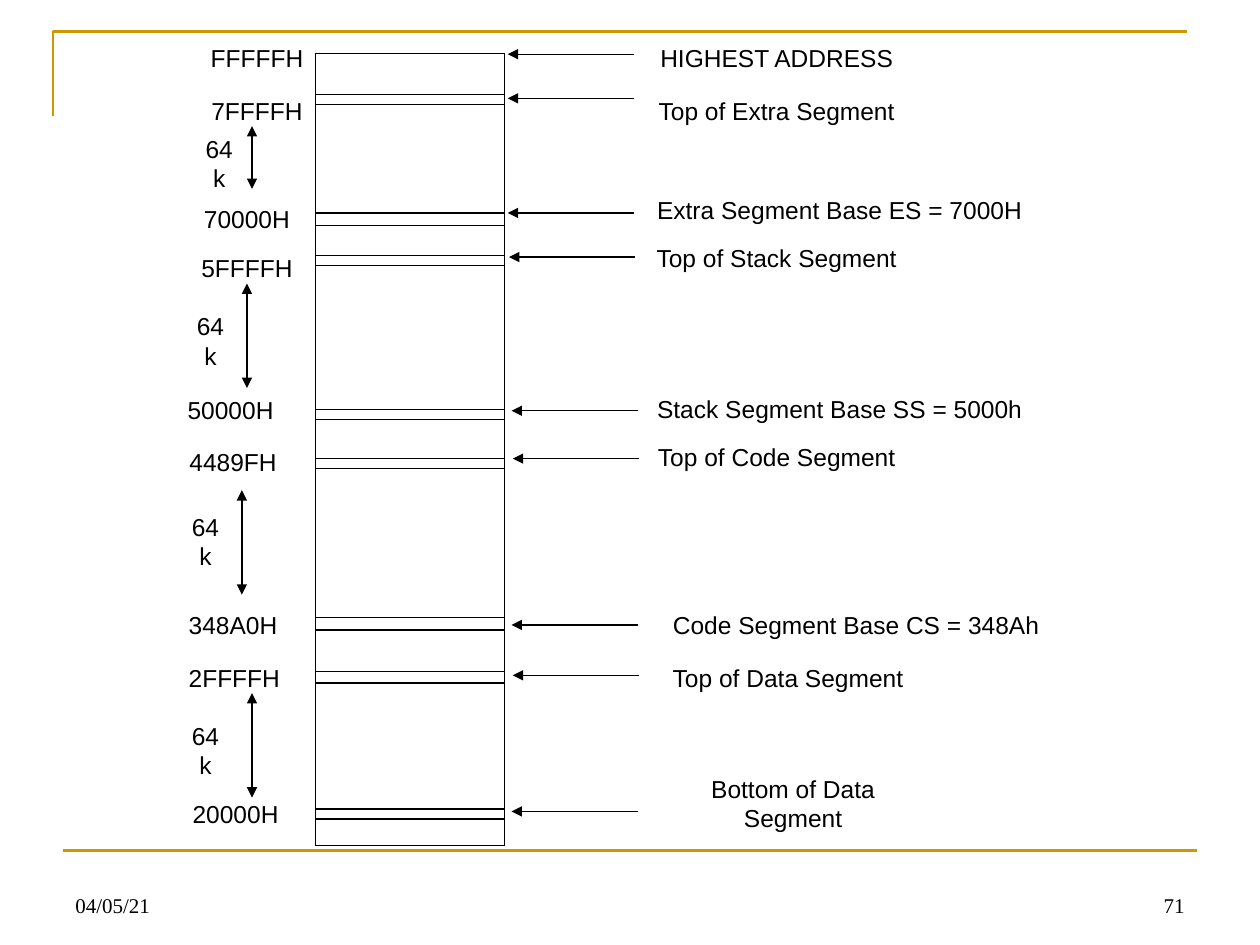
"""Build a slide showing the memory map of the processor segments."""
from dataclasses import dataclass

from lxml import etree
from pptx import Presentation
from pptx.dml.color import RGBColor
from pptx.enum import shapes, text
from pptx.oxml import ns
from pptx.util import Inches, Pt


@dataclass(frozen=True)
class Theme:
    ink: RGBColor = RGBColor(0, 0, 0)
    gold: RGBColor = RGBColor(0xCC, 0x99, 0x00)
    sans: str = "Arial"
    serif: str = "Times New Roman"
    label: Pt = Pt(14)
    footer: Pt = Pt(12)
    thin: Pt = Pt(0.75)
    rule: Pt = Pt(1.5)


T = Theme()
LABEL = {"name": T.sans, "size": T.label}
FOOTER = {"name": T.serif, "size": T.footer}
CENTER, LEFT, RIGHT = text.PP_ALIGN.CENTER, text.PP_ALIGN.LEFT, text.PP_ALIGN.RIGHT
MIDDLE, BOTTOM = text.MSO_ANCHOR.MIDDLE, text.MSO_ANCHOR.BOTTOM

prs = Presentation()
prs.slide_width, prs.slide_height = Inches(10), Inches(7.5)
s = prs.slides.add_slide(prs.slide_layouts[6])


def add_line(x1, y1, x2, y2, color=T.ink, width=T.thin, ends=()):
    c = s.shapes.add_connector(shapes.MSO_CONNECTOR.STRAIGHT,
                               Inches(x1), Inches(y1), Inches(x2), Inches(y2))
    c.line.color.rgb = color
    c.line.width = width
    for end in ends:
        etree.SubElement(c.line._get_or_add_ln(), ns.qn(f"a:{end}"), type="triangle")
    etree.SubElement(c._element.spPr, ns.qn("a:effectLst"))


def add_text(words, x, y, w, h, font=LABEL, align=CENTER, anchor=MIDDLE, wrap=False):
    tf = s.shapes.add_textbox(Inches(x), Inches(y), Inches(w), Inches(h)).text_frame
    tf.word_wrap = wrap
    tf.vertical_anchor = anchor
    p = tf.paragraphs[0]
    p.alignment = align
    r = p.add_run()
    r.text = words
    for key, value in font.items():
        setattr(r.font, key, value)
    r.font.color.rgb = T.ink


fb = s.shapes.build_freeform(Inches(0.42), Inches(0.92))
fb.add_line_segments([(Inches(0.42), Inches(0.25)), (Inches(9.42), Inches(0.25))], close=False)
frame = fb.convert_to_shape()
frame.fill.background()
frame.line.color.rgb = T.gold
frame.line.width = T.rule
frame.shadow.inherit = False
add_line(0.5, 6.75, 9.5, 6.75, T.gold, T.rule)
add_text("04/05/21", 0.5, 6.83, 2.33, 0.5, FOOTER, LEFT, BOTTOM, True)
add_text("71", 7.17, 6.83, 2.33, 0.5, FOOTER, RIGHT, BOTTOM, True)

memory = s.shapes.add_table(1, 1, Inches(2.5), Inches(0.42), Inches(1.5), Inches(6.29)).table
memory.first_row = memory.horz_banding = False
cell = memory.cell(0, 0)
tcPr = cell._tc.get_or_add_tcPr()
for side in ("lnL", "lnR", "lnT", "lnB"):
    ln = etree.SubElement(tcPr, ns.qn(f"a:{side}"), w=str(Pt(0.5)))
    fill = etree.SubElement(ln, ns.qn("a:solidFill"))
    etree.SubElement(fill, ns.qn("a:srgbClr"), val=str(T.ink))
cell.fill.background()

for y in (0.75, 0.83, 1.69, 1.79, 2.03, 2.11, 3.25, 3.33, 3.64, 3.72,
          4.9, 5, 5.33, 5.42, 6.42, 6.5):
    add_line(2.5, y, 4, y)

pointers = [
    ("HIGHEST ADDRESS", 5.08, 0.33, 2.17, 0.25, 4.03, 0.43),
    ("Top of Extra Segment", 5.08, 0.75, 2.17, 0.25, 4.03, 0.78),
    ("Extra Segment Base ES = 7000H", 5.08, 1.5, 3.17, 0.33, 4.03, 1.69),
    ("Top of Stack Segment", 5.08, 1.92, 2.17, 0.25, 4.04, 2.04),
    ("Stack Segment Base SS = 5000h", 5.08, 3.08, 3.17, 0.33, 4.06, 3.26),
    ("Top of Code Segment", 5.08, 3.5, 2.17, 0.25, 4.07, 3.64),
    ("Code Segment Base CS = 348Ah", 5.12, 4.83, 3.35, 0.25, 4.06, 4.96),
    ("Top of Data Segment", 5.17, 5.25, 2.17, 0.25, 4.07, 5.36),
    ("Bottom of Data Segment", 5.21, 6.25, 2.17, 0.25, 4.06, 6.44),
]
for words, x, y, w, h, tip_x, tip_y in pointers:
    add_line(tip_x, tip_y, tip_x + 1, tip_y, ends=["headEnd"])
    add_text(words, x, y, w, h)

addresses = [
    ("FFFFFH", 1.5, 0.33), ("7FFFFH", 1.5, 0.75), ("70000H", 1.42, 1.61),
    ("5FFFFH", 1.42, 2), ("50000H", 1.29, 3.13), ("4489FH", 1.31, 3.54),
    ("348A0H", 1.31, 4.83), ("2FFFFH", 1.32, 5.25), ("20000H", 1.33, 6.33),
]
for words, x, y in addresses:
    add_text(words, x, y, 1.08, 0.25)

spans = [(2, 1, 1.5, 1.53, 1.17), (1.96, 2.25, 3.08, 1.46, 2.58),
         (1.92, 3.89, 4.72, 1.42, 4.17), (2, 5.5, 6.33, 1.42, 5.83)]
for x, top, bottom, label_x, label_y in spans:
    add_line(x, top, x, bottom, ends=["headEnd", "tailEnd"])
    add_text("64k", label_x, label_y, 0.42, 0.25)

prs.save("out.pptx")
